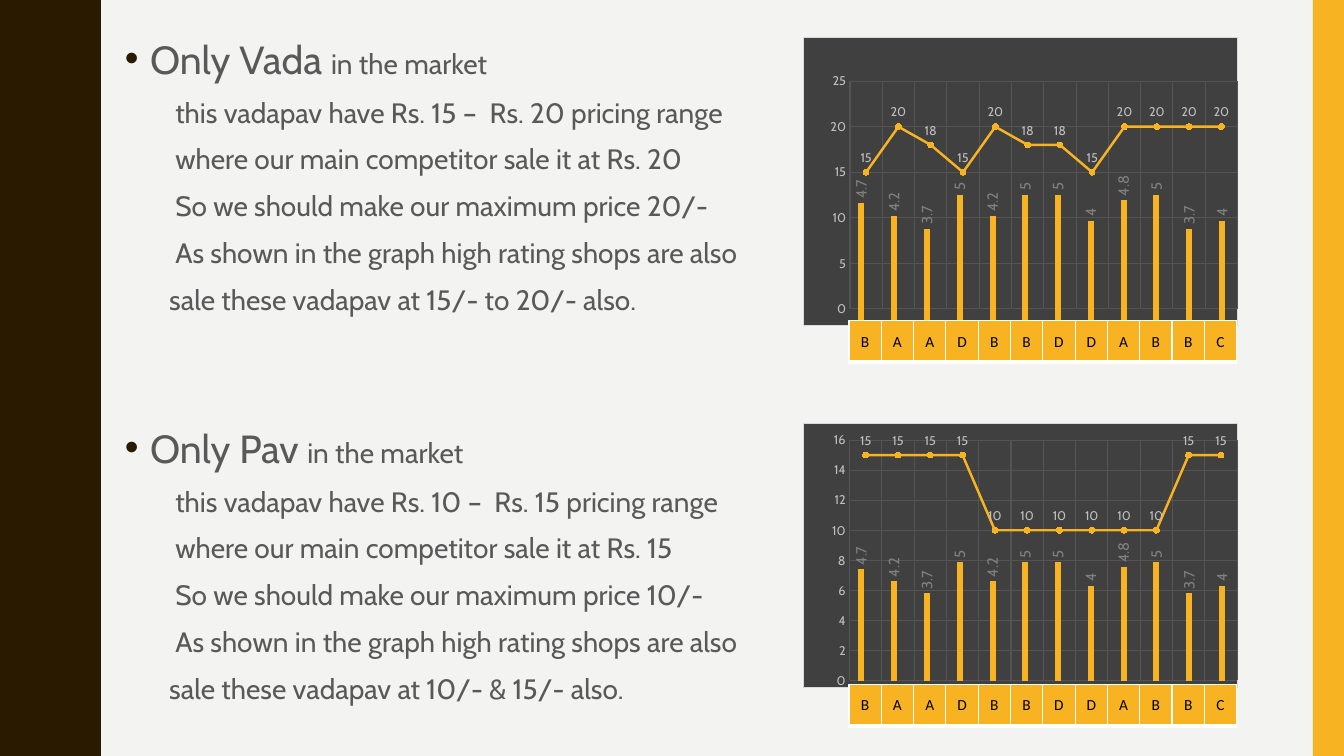
from lxml import etree
from pptx import Presentation
from pptx.chart import data as chart_data
from pptx.dml.color import RGBColor
from pptx.enum import chart as kinds, shapes, text
from pptx.oxml import ns, parse_xml
from pptx.util import Inches, Pt

BROWN = RGBColor(0x2A, 0x1A, 0x00)
AMBER = RGBColor(0xF8, 0xB3, 0x23)
PALE_AMBER = RGBColor(0xFB, 0xD1, 0x7B)
PAPER = RGBColor(0xF3, 0xF3, 0xF2)
CHARCOAL = RGBColor(0x40, 0x40, 0x40)
GRID = RGBColor(0x54, 0x54, 0x54)
BODY_GREY = RGBColor(0x59, 0x59, 0x59)
LABEL_GREY = RGBColor(0x80, 0x80, 0x80)
AXIS_GREY = RGBColor(0xBF, 0xBF, 0xBF)
BORDER_GREY = RGBColor(0xD9, 0xD9, 0xD9)
BLACK = RGBColor(0, 0, 0)
WHITE = RGBColor(0xFF, 0xFF, 0xFF)

SHOPS = "BAADBBDDABBC"
RATINGS = [4.7, 4.2, 3.7, 5, 4.2, 5, 5, 4, 4.8, 5, 3.7, 4]
# One rise of the wavy edge; it is mirrored to make a full 1.5 inch wave.
WAVE_RISE = [(0.78, 0), (0.78, 0.07), (0.79, 0.14), (0.8, 0.2), (0.81, 0.25),
             (0.83, 0.29), (0.85, 0.33), (0.87, 0.38), (0.89, 0.42), (0.91, 0.46),
             (0.93, 0.5), (0.95, 0.55), (0.96, 0.61), (0.97, 0.68), (0.97, 0.75)]
WAVE_LENGTH = 1.5


def paint(shape, color):
    shape.shadow.inherit = False
    shape.fill.solid()
    shape.fill.fore_color.rgb = color
    shape.line.fill.background()


def style_font(font, size, color, name="Cabin"):
    font.size, font.name = Pt(size), name
    font.color.rgb = color


def add_edges(page, width, height):
    """Wavy band down the left side and a plain bar down the right."""
    wave = WAVE_RISE + [(x, WAVE_LENGTH - y) for x, y in WAVE_RISE[-2:0:-1]]
    edge = [(x, y + turn * WAVE_LENGTH)
            for turn in range(round(height / WAVE_LENGTH)) for x, y in wave]
    builder = page.shapes.build_freeform(0, 0, scale=Inches(1))
    builder.add_line_segments(edge + [(WAVE_RISE[0][0], height), (0, height)], close=True)
    paint(builder.convert_to_shape(), BROWN)
    bar = page.shapes.add_shape(shapes.MSO_SHAPE.RECTANGLE, Inches(width - 0.31), 0,
                                Inches(0.31), Inches(height))
    paint(bar, AMBER)


def add_span(para, words, size):
    span = para.add_run()
    span.text = words
    style_font(span.font, size, BODY_GREY)


def format_para(para, indent, hanging=0, bullet=False):
    para.line_spacing, para.space_before = 1.1, Pt(7)
    props = para._p.get_or_add_pPr()
    props.set("marL", str(Inches(indent)))
    props.set("indent", str(Inches(-hanging)))
    if bullet:
        color = etree.SubElement(props, ns.qn("a:buClr"))
        etree.SubElement(color, ns.qn("a:srgbClr"), val=str(BROWN))
        etree.SubElement(props, ns.qn("a:buFont"), typeface="Arial")
        etree.SubElement(props, ns.qn("a:buChar"), char="•")


def add_advice(page, left, top, item, lines):
    box = page.shapes.add_textbox(Inches(left), Inches(top), Inches(6.6), Inches(3.1))
    frame = box.text_frame
    frame.word_wrap = True
    heading = frame.paragraphs[0]
    format_para(heading, 0.25, hanging=0.25, bullet=True)
    add_span(heading, f"Only {item} ", 28)
    add_span(heading, "in the market", 20)
    for line in lines:
        para = frame.add_paragraph()
        format_para(para, 0.44 if line is lines[-1] else 0.5)
        add_span(para, line, 20)


def add_plain_chart(page, kind, values, box, plot_box, frame_xml):
    """Chart without title, legend or category axis, its plot area at plot_box."""
    data = chart_data.CategoryChartData()
    data.categories = [str(n) for n in range(1, len(values) + 1)]
    data.add_series("Series 1", values)
    chart = page.shapes.add_chart(kind, *map(Inches, box), data).chart
    chart.has_legend = chart.has_title = False
    style_font(chart.font, 10, BLACK)
    chart.category_axis.visible = False

    area = chart._chartSpace.chart.plotArea
    for old in area.findall(ns.qn("c:layout")):
        area.remove(old)
    layout = etree.Element(ns.qn("c:layout"))
    manual = etree.SubElement(layout, ns.qn("c:manualLayout"))
    settings = [("layoutTarget", "inner"), ("xMode", "edge"), ("yMode", "edge")]
    for tag, value in settings + list(zip("xywh", plot_box)):
        etree.SubElement(manual, ns.qn(f"c:{tag}"), val=str(value))
    area.insert(0, layout)
    chart._chartSpace.chart.addnext(parse_xml(
        f'<c:spPr {ns.nsdecls("c", "a")}>{frame_xml}</c:spPr>'))
    return chart


def show_values(plot, position, size, color):
    plot.vary_by_categories = False
    labels = plot.series[0].data_labels
    labels.show_value = True
    labels.position = position
    style_font(labels.font, size, color)
    return labels


def add_price_chart(page, box, plot_box, prices, top_price, step):
    frame_xml = (f'<a:solidFill><a:srgbClr val="{CHARCOAL}"/></a:solidFill>'
                 f'<a:ln w="{Pt(0.75)}"><a:solidFill><a:srgbClr val="{BORDER_GREY}"/>'
                 '</a:solidFill></a:ln>')
    chart = add_plain_chart(page, kinds.XL_CHART_TYPE.LINE_MARKERS, prices, box,
                            plot_box, frame_xml)
    axis = chart.value_axis
    axis.minimum_scale, axis.maximum_scale, axis.major_unit = 0, top_price, step
    axis.major_tick_mark = kinds.XL_TICK_MARK.NONE
    axis.format.line.fill.background()
    style_font(axis.tick_labels.font, 9, AXIS_GREY)
    for ruled in (axis, chart.category_axis):
        ruled.has_major_gridlines = True
        ruled.major_gridlines.format.line.color.rgb = GRID
        ruled.major_gridlines.format.line.width = Pt(0.75)
    series = chart.plots[0].series[0]
    series.smooth = False
    series.format.line.color.rgb = AMBER
    series.format.line.width = Pt(1.75)
    series.marker.style, series.marker.size = kinds.XL_MARKER_STYLE.CIRCLE, 4
    series.marker.format.fill.solid()
    series.marker.format.fill.fore_color.rgb = PALE_AMBER
    series.marker.format.line.color.rgb = AMBER
    show_values(chart.plots[0], kinds.XL_LABEL_POSITION.ABOVE, 9, AXIS_GREY)


def add_rating_chart(page, box, plot_box):
    chart = add_plain_chart(page, kinds.XL_CHART_TYPE.COLUMN_CLUSTERED, RATINGS, box,
                            plot_box, "<a:noFill/><a:ln><a:noFill/></a:ln>")
    axis = chart.value_axis
    axis.minimum_scale, axis.maximum_scale = 0, 6
    axis.has_major_gridlines = axis.visible = False
    plot = chart.plots[0]
    plot.gap_width, plot.overlap = 444, -90
    plot.series[0].format.fill.solid()
    plot.series[0].format.fill.fore_color.rgb = AMBER
    labels = show_values(plot, kinds.XL_LABEL_POSITION.OUTSIDE_END, 10.6, LABEL_GREY)
    turned = labels._element.find(ns.qn("c:txPr")).find(ns.qn("a:bodyPr"))
    turned.set("rot", "-5400000")
    turned.set("vert", "horz")


def add_shop_table(page, left, top, width, height):
    frame = page.shapes.add_table(1, len(SHOPS), *map(Inches, (left, top, width, height)))
    table = frame.table
    table.first_row = table.horz_banding = False
    for column, cell, shop in zip(table.columns, table.rows[0].cells, SHOPS):
        column.width = Inches(width / len(SHOPS))
        cell.text = shop
        cell.vertical_anchor = text.MSO_ANCHOR.MIDDLE
        cell.margin_left = cell.margin_right = cell.margin_top = Inches(0.01)
        cell.margin_bottom = 0
        para = cell.text_frame.paragraphs[0]
        para.alignment = text.PP_ALIGN.CENTER
        style_font(para.runs[0].font, 11, BLACK, name="Calibri")
        cell.fill.solid()
        cell.fill.fore_color.rgb = AMBER
        props = cell._tc.get_or_add_tcPr()
        for place, (side, points) in enumerate(zip("LRTB", (1, 1, 1, 3))):
            props.insert(place, parse_xml(
                f'<a:ln{side} {ns.nsdecls("a")} w="{Pt(points)}"><a:solidFill>'
                f'<a:srgbClr val="{WHITE}"/></a:solidFill></a:ln{side}>'))


def main():
    width, height = 13.33, 7.5
    deck = Presentation()
    deck.slide_width, deck.slide_height = Inches(width), Inches(height)
    page = deck.slides.add_slide(deck.slide_layouts[6])
    page.background.fill.solid()
    page.background.fill.fore_color.rgb = PAPER
    add_edges(page, width, height)

    advice = [("Vada", 0.25, 15, 20, "15/- to 20/-"), ("Pav", 4.11, 10, 15, "10/- & 15/-")]
    for item, top, low, high, common in advice:
        add_advice(page, 1.14, top, item, [
            f"this vadapav have Rs. {low} –  Rs. {high} pricing range",
            f"where our main competitor sale it at Rs. {high}",
            f"So we should make our maximum price {20 if item == 'Vada' else 10}/-",
            "As shown in the graph high rating shops are also",
            f"sale these vadapav at {common} also."])

    add_price_chart(page, (7.96, 4.2, 4.32, 2.63), (0.107, 0.062, 0.892, 0.91),
                    [15] * 4 + [10] * 6 + [15] * 2, 16, 2)
    add_price_chart(page, (7.96, 0.37, 4.32, 2.86), (0.108, 0.151, 0.892, 0.793),
                    [15, 20, 18, 15, 20, 18, 18, 15, 20, 20, 20, 20], 25, 5)
    add_rating_chart(page, (8.31, 1.44, 4.21, 1.85), (0.017, 0.128, 0.927, 0.835))
    add_rating_chart(page, (8.31, 4.98, 4.21, 1.85), (0.017, 0.195, 0.927, 0.767))
    for top in (3.18, 6.79):
        add_shop_table(page, 8.42, top, 3.85, 0.41)
    deck.save("out.pptx")


if __name__ == "__main__":
    main()
